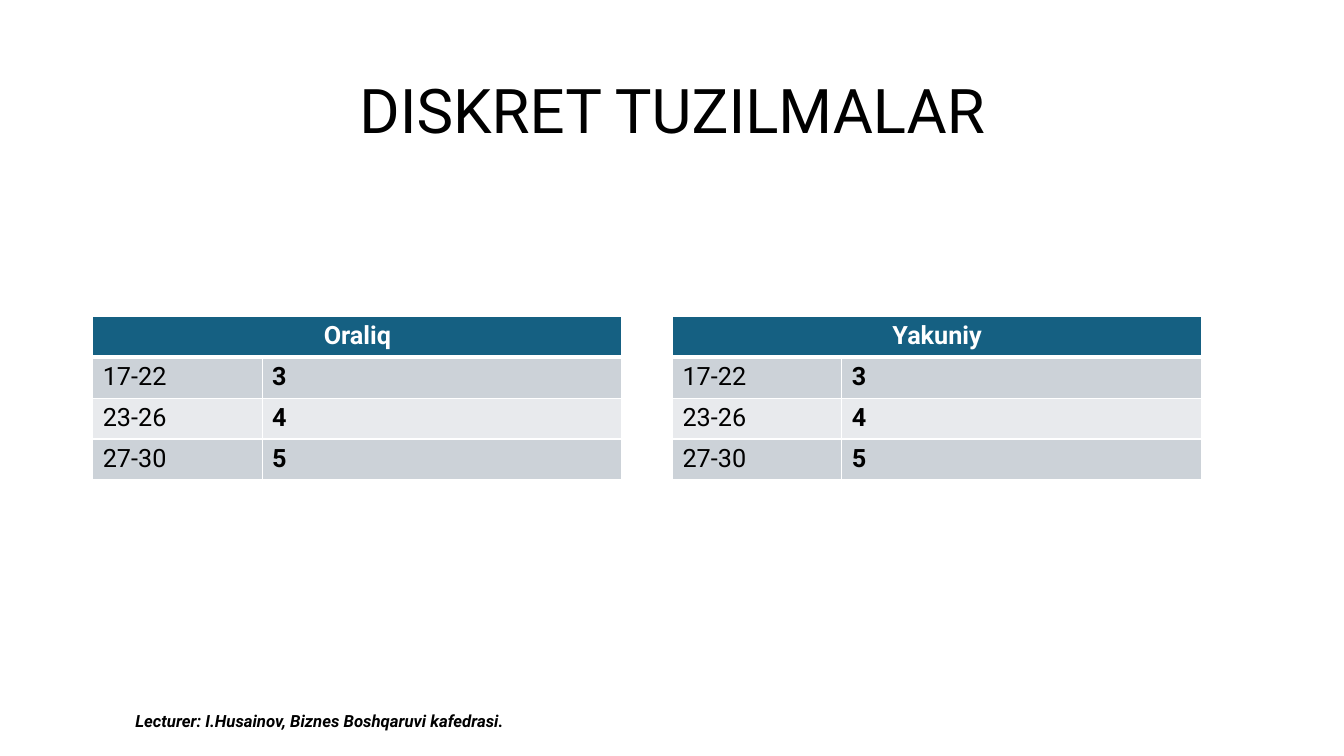
import pptx
import pptx.util
import pptx.dml.color
import pptx.enum.text
import pptx.oxml
import pptx.oxml.ns
from dataclasses import dataclass

Inches, Pt = pptx.util.Inches, pptx.util.Pt
RGB = pptx.dml.color.RGBColor.from_string
ALIGN = pptx.enum.text.PP_ALIGN
MIDDLE = pptx.enum.text.MSO_ANCHOR.MIDDLE

TITLE = "DISKRET TUZILMALAR"
LECTURER = "Lecturer: I.Husainov, Biznes Boshqaruvi kafedrasi."
EXAMS = ["Oraliq", "Yakuniy"]
GRADES = [("17-22", "3"), ("23-26", "4"), ("27-30", "5")]


@dataclass(frozen=True)
class Theme:
    font: str = "Roboto"
    text: str = "000000"
    white: str = "FFFFFF"
    header: str = "156082"
    bands: tuple = ("CCD2D8", "E8EAED")
    title_size: int = 44
    table_size: int = 18
    footer_size: int = 12
    rule: int = 1
    header_rule: int = 3


THEME = Theme()
LEFT = 0.92
TABLE_TOP, TABLE_STEP = 3.14, 5.75
COLUMNS = (1.68, 3.57)
ROW_HEIGHT = 0.405


def set_font(p, size, color=THEME.text, bold=False, italic=False):
    p.font.name = THEME.font
    p.font.size = Pt(size)
    p.font.color.rgb = RGB(color)
    p.font.bold, p.font.italic = bold, italic


def set_borders(cell, top, bottom):
    """Draw white cell borders; widths are in points."""
    tc_pr = cell._tc.get_or_add_tcPr()
    widths = {"L": THEME.rule, "R": THEME.rule, "T": top, "B": bottom}
    for i, (side, width) in enumerate(widths.items()):
        tc_pr.insert(i, pptx.oxml.parse_xml(
            f'<a:ln{side} {pptx.oxml.ns.nsdecls("a")} w="{Pt(width)}">'
            f'<a:solidFill><a:srgbClr val="{THEME.white}"/></a:solidFill>'
            f'</a:ln{side}>'))


def add_grades(slide, exam, left):
    rows = [(exam, "")] + GRADES
    table = slide.shapes.add_table(
        len(rows), len(COLUMNS), Inches(left), Inches(TABLE_TOP),
        Inches(sum(COLUMNS)), Inches(ROW_HEIGHT * len(rows))).table
    for column, width in zip(table.columns, COLUMNS):
        column.width = Inches(width)
    table.cell(0, 0).merge(table.cell(0, 1))
    for r, values in enumerate(rows):
        table.rows[r].height = Inches(ROW_HEIGHT)
        is_header = r == 0
        fill = THEME.header if is_header else THEME.bands[(r - 1) % 2]
        for c, value in enumerate(values):
            cell = table.cell(r, c)
            cell.fill.solid()
            cell.fill.fore_color.rgb = RGB(fill)
            set_borders(cell, THEME.header_rule if r == 1 else THEME.rule,
                        THEME.header_rule if is_header else THEME.rule)
            cell.text = value
            p = cell.text_frame.paragraphs[0]
            p.alignment = ALIGN.CENTER if is_header else ALIGN.LEFT
            set_font(p, THEME.table_size,
                     THEME.white if is_header else THEME.text,
                     bold=is_header or c == 1)


def add_title(slide):
    title = slide.shapes.title
    title.left, title.top = Inches(LEFT), Inches(0.4)
    title.width, title.height = Inches(11.5), Inches(1.45)
    tf = title.text_frame
    tf.text = TITLE
    tf.vertical_anchor = MIDDLE
    p = tf.paragraphs[0]
    p.alignment, p.line_spacing = ALIGN.CENTER, 0.9
    set_font(p, THEME.title_size)


def add_lecturer(slide):
    sp = slide.shapes.add_textbox(
        Inches(LEFT), Inches(6.95), Inches(4.5), Inches(0.4))
    tf = sp.text_frame
    tf.word_wrap = True
    tf.vertical_anchor = MIDDLE
    tf.text = LECTURER
    p = tf.paragraphs[0]
    p.alignment = ALIGN.CENTER
    set_font(p, THEME.footer_size, bold=True, italic=True)


def main():
    prs = pptx.Presentation()
    prs.slide_width, prs.slide_height = Inches(13.33), Inches(7.5)
    slide = prs.slides.add_slide(prs.slide_layouts[5])
    add_title(slide)
    for i, exam in enumerate(EXAMS):
        add_grades(slide, exam, LEFT + i * TABLE_STEP)
    add_lecturer(slide)
    prs.save("out.pptx")


if __name__ == "__main__":
    main()
